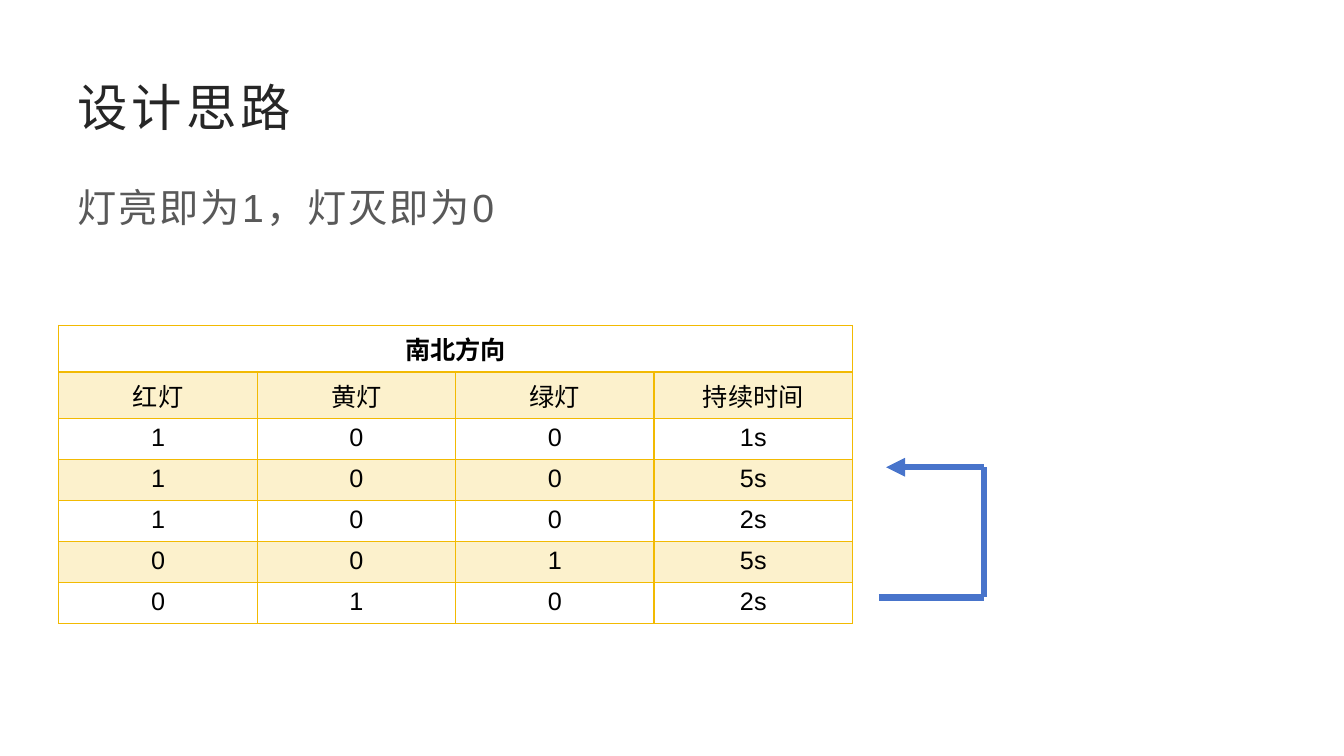
from lxml import etree
from pptx import Presentation
from pptx.dml.color import RGBColor
from pptx.enum.shapes import MSO_CONNECTOR
from pptx.enum.text import MSO_ANCHOR, MSO_AUTO_SIZE, PP_ALIGN
from pptx.oxml.ns import qn
from pptx.util import Pt

PX = 9525  # EMU per px, 96 px to the inch
FONT = "Arial"
TITLE_INK = RGBColor(0x26, 0x26, 0x26)
BODY_INK = RGBColor(0x59, 0x59, 0x59)
BLACK = RGBColor(0x00, 0x00, 0x00)
GOLD = RGBColor(0xF2, 0xBA, 0x02)
BLUE = RGBColor(0x48, 0x74, 0xCB)

HEADING = "南北方向"
LIGHTS = [
    ["红灯", "黄灯", "绿灯", "持续时间"],
    ["1", "0", "0", "1s"],
    ["1", "0", "0", "5s"],
    ["1", "0", "0", "2s"],
    ["0", "0", "1", "5s"],
    ["0", "1", "0", "2s"],
]


def px(*lengths):
    return [n * PX for n in lengths]


def write(tf, text, size, color, bold=False, align=PP_ALIGN.LEFT, spacing=0):
    """Put one formatted paragraph in a text frame and return it."""
    p = tf.paragraphs[0]
    p.alignment = align
    r = p.add_run()
    r.text = text
    r.font.name = FONT
    r.font.size = Pt(size)
    r.font.bold = bold
    r.font.color.rgb = color
    if spacing:
        r.font._element.set("spc", str(int(spacing * 100)))
    return p


def place(sp, box, anchor):
    sp.left, sp.top, sp.width, sp.height = px(*box)
    tf = sp.text_frame
    tf.word_wrap = True
    tf.auto_size = MSO_AUTO_SIZE.NONE
    tf.vertical_anchor = anchor
    return tf


def add_title(slide, box):
    tf = place(slide.shapes.title, box, MSO_ANCHOR.MIDDLE)
    write(tf, "设计思路", 36, TITLE_INK, spacing=3)


def add_body(slide, box):
    tf = place(slide.placeholders[1], box, MSO_ANCHOR.TOP)
    p = write(tf, "灯亮即为1，灯灭即为0", 28, BODY_INK, spacing=1.5)
    p.line_spacing = 1.3
    p.space_before = Pt(0)
    p.space_after = Pt(10)
    pPr = p._p.get_or_add_pPr()
    pPr.set("marL", "0")
    pPr.set("indent", "0")
    etree.SubElement(pPr, qn("a:buNone"))


def format_cell(cell, row):
    """Borders on every side; a tint on every second row."""
    tcPr = cell._tc.get_or_add_tcPr()
    widths = {"L": 1, "R": 1, "T": 2 if row == 1 else 1, "B": 2 if row == 0 else 1}
    for side, width in widths.items():
        ln = etree.SubElement(tcPr, qn(f"a:ln{side}"), w=str(Pt(width)))
        fill = etree.SubElement(ln, qn("a:solidFill"))
        etree.SubElement(fill, qn("a:srgbClr"), val=str(GOLD))
    if row % 2:
        cell.fill.solid()
        cell.fill.fore_color.rgb = GOLD
        clr = tcPr.find(qn("a:solidFill")).find(qn("a:srgbClr"))
        etree.SubElement(clr, qn("a:alpha"), val="20000")
    else:
        cell.fill.background()


def add_light_table(slide, box):
    rows, cols = len(LIGHTS) + 1, len(LIGHTS[0])
    table = slide.shapes.add_table(rows, cols, *px(*box)).table
    table.first_row = table.horz_banding = False
    for column in table.columns:
        column.width = box[2] * PX // cols
    for i, row in enumerate(table.rows):
        row.height = (44 if i < 2 else 39) * PX
        for cell in row.cells:
            format_cell(cell, i)
    # Heading across all columns
    table.cell(0, 0).merge(table.cell(0, cols - 1))
    write(table.cell(0, 0).text_frame, HEADING, 18, BLACK, bold=True,
          align=PP_ALIGN.CENTER)
    for i, values in enumerate(LIGHTS, 1):
        for j, value in enumerate(values):
            write(table.cell(i, j).text_frame, value, 18, BLACK,
                  align=PP_ALIGN.CENTER)


def add_line(slide, start, end, arrow=False):
    line = slide.shapes.add_connector(MSO_CONNECTOR.STRAIGHT, *px(*start, *end))
    line.line.color.rgb = BLUE
    line.line.width = Pt(4.5)
    if arrow:
        etree.SubElement(line.line._get_or_add_ln(), qn("a:tailEnd"), type="triangle")
    etree.SubElement(line._element.spPr, qn("a:effectLst"))


def add_loop(slide, box):
    """Return path from the last state back to the second one."""
    left, top, width, height = box
    right, bottom = left + width, top + height
    points = [(left, bottom), (right, bottom), (right, top), (left + 7, top)]
    for i, (start, end) in enumerate(zip(points, points[1:])):
        add_line(slide, start, end, arrow=i == 2)


def main():
    prs = Presentation()
    prs.slide_width, prs.slide_height = px(1280, 720)
    slide = prs.slides.add_slide(prs.slide_layouts[1])
    add_body(slide, (64, 156, 1152, 499))
    add_title(slide, (64, 64, 1152, 74))
    add_light_table(slide, (56, 310, 756, 283))
    add_loop(slide, (837, 445, 100, 124))
    prs.save("out.pptx")


if __name__ == "__main__":
    main()
